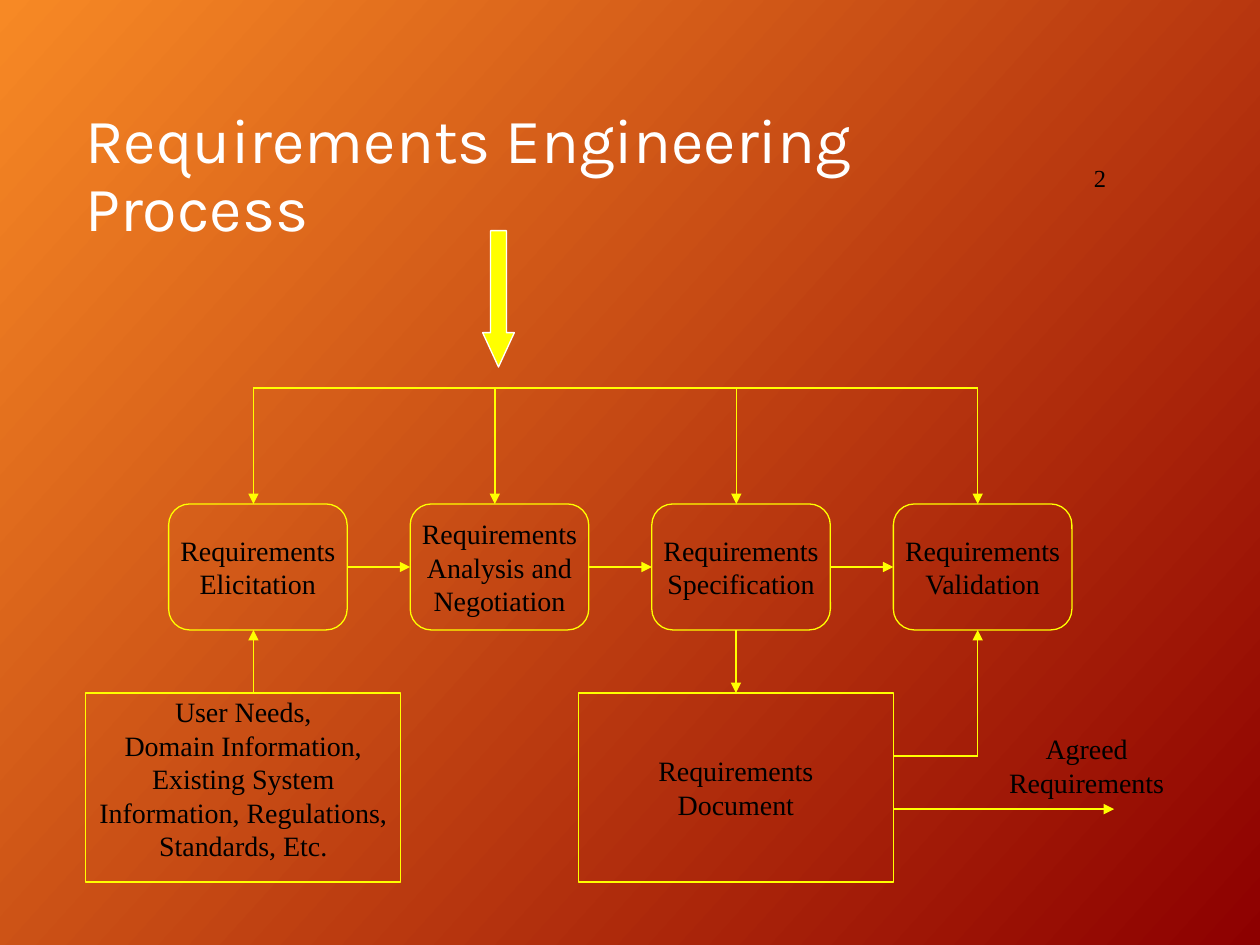
from dataclasses import dataclass

from lxml.etree import SubElement
from pptx import Presentation
from pptx.dml.color import RGBColor
from pptx.enum.shapes import MSO_CONNECTOR, MSO_SHAPE
from pptx.enum.text import MSO_ANCHOR, PP_ALIGN
from pptx.oxml.ns import qn
from pptx.util import Cm, Pt


@dataclass(frozen=True)
class Theme:
    """Colours, fonts and sizes of the slide."""
    glow: RGBColor = RGBColor.from_string("F78925")
    ember: RGBColor = RGBColor.from_string("8D0000")
    line: RGBColor = RGBColor.from_string("FFFF00")
    white: RGBColor = RGBColor.from_string("FFFFFF")
    ink: RGBColor = RGBColor.from_string("000000")
    heading_font: str = "Karla"
    body_font: str = "Times New Roman"
    heading_size: int = 36
    body_size: int = 16
    number_size: int = 14
    thin: float = 0.75
    flow: float = 1


@dataclass(frozen=True)
class Box:
    """A rectangle in centimetres."""
    left: float
    top: float
    width: float
    height: float

    @property
    def right(self):
        """Return the right edge."""
        return self.left + self.width

    @property
    def bottom(self):
        """Return the bottom edge."""
        return self.top + self.height

    def lengths(self):
        """Return left, top, width and height as slide lengths."""
        return Cm(self.left), Cm(self.top), Cm(self.width), Cm(self.height)


THEME = Theme()


def write(shape, lines, size=THEME.body_size, font=THEME.body_font, color=THEME.ink,
          align=PP_ALIGN.CENTER, anchor=MSO_ANCHOR.MIDDLE, wrap=False):
    """Fill a shape with one paragraph per line."""
    frame = shape.text_frame
    frame.text = "\n".join(lines)
    frame.word_wrap = wrap
    frame.vertical_anchor = anchor
    for para in frame.paragraphs:
        para.alignment = align
        para.font.size = Pt(size)
        para.font.name = font
        para.font.color.rgb = color
    return frame


def add_outline(page, preset, box):
    """Add an unfilled shape with a thin yellow outline."""
    shape = page.shapes.add_shape(preset, *box.lengths())
    shape.shadow.inherit = False
    shape.fill.background()
    shape.line.color.rgb = THEME.line
    shape.line.width = Pt(THEME.thin)
    return shape


def add_line(page, start, end, arrow=True, width=THEME.thin):
    """Add a straight yellow line, with an arrowhead at its end if wanted."""
    line = page.shapes.add_connector(
        MSO_CONNECTOR.STRAIGHT, *(Cm(value) for value in (*start, *end)))
    line.line.color.rgb = THEME.line
    line.line.width = Pt(width)
    properties = line._element.spPr
    if arrow:
        SubElement(properties.find(qn("a:ln")), qn("a:tailEnd"), type="triangle")
    SubElement(properties, qn("a:effectLst"))
    return line


def paint_background(page):
    """Paint the diagonal gradient."""
    fill = page.background.fill
    fill.gradient()
    fill.gradient_angle = 318
    for stop, color, position in zip(fill.gradient_stops, (THEME.glow, THEME.ember), (0, 1)):
        stop.color.rgb = color
        stop.position = position


def add_title(page, box):
    """Add the heading."""
    frame = write(page.shapes.add_textbox(*box.lengths()),
                  ["Requirements Engineering Process"], THEME.heading_size,
                  THEME.heading_font, THEME.white, PP_ALIGN.LEFT, wrap=True)
    frame.paragraphs[0].line_spacing = 0.9


def add_page_number(page, box):
    """Add the page number."""
    write(page.shapes.add_textbox(*box.lengths()), ["2"], THEME.number_size,
          align=PP_ALIGN.LEFT, wrap=True)


def add_entry_arrow(page, box):
    """Add the block arrow that leads into the process."""
    arrow = add_outline(page, MSO_SHAPE.DOWN_ARROW, box)
    arrow.adjustments[1] = 1.083
    arrow.fill.solid()
    arrow.fill.fore_color.rgb = THEME.line
    arrow.line.color.rgb = THEME.white


def add_distribution(page, box, count):
    """Add the horizontal rail and its evenly spaced drops."""
    add_line(page, (box.left, box.top), (box.right, box.top), arrow=False)
    for index in range(count):
        x = box.left + index * box.width / (count - 1)
        add_line(page, (x, box.top), (x, box.bottom))


def add_stages(page, box, labels, stage_width=3.6):
    """Add the row of stages joined by arrows."""
    pitch = (box.width - stage_width) / (len(labels) - 1)
    middle = box.top + box.height / 2
    stages = []
    for index, lines in enumerate(labels):
        place = Box(box.left + index * pitch, box.top, stage_width, box.height)
        stage = add_outline(page, MSO_SHAPE.ROUNDED_RECTANGLE, place)
        write(stage, lines)
        stages.append(stage)
    for index, (source, target) in enumerate(zip(stages, stages[1:])):
        x = box.left + index * pitch + stage_width
        arrow = add_line(page, (x, middle), (x + pitch - stage_width, middle),
                         width=THEME.flow)
        arrow.begin_connect(source, 3)
        arrow.end_connect(target, 1)


def add_inputs(page, box, gap=1.27):
    """Add the source information and its arrow up to elicitation."""
    place = Box(box.left, box.top + gap, box.width, box.height - gap)
    sources = add_outline(page, MSO_SHAPE.RECTANGLE, place)
    frame = write(sources, ["User Needs,", "Domain Information,", "Existing System",
                            "Information, Regulations,", "Standards, Etc."],
                  anchor=MSO_ANCHOR.TOP)
    frame.margin_top = Cm(0.03)
    x = box.left + 3.38
    add_line(page, (x, place.top), (x, box.top))


def add_outputs(page, box, gap=1.27):
    """Add the document, its feedback to validation and the agreed result."""
    place = Box(box.left, box.top + gap, 6.35, box.height - gap)
    document = add_outline(page, MSO_SHAPE.RECTANGLE, place)
    write(document, ["Requirements", "Document"])
    x = place.left + place.width / 2
    add_line(page, (x, box.top), (x, place.top)).end_connect(document, 0)
    corner = (place.right + 1.7, place.top + 1.27)
    add_line(page, (place.right, corner[1]), corner, arrow=False)
    add_line(page, corner, (corner[0], box.top))
    y = place.top + 2.34
    add_line(page, (place.right, y), (place.right + 4.45, y))
    label = Box(box.right - 3.63, place.top + 0.64, 3.63, 1.63)
    write(page.shapes.add_textbox(*label.lengths()), ["Agreed", "Requirements"])


def main():
    """Build and save the slide."""
    deck = Presentation()
    deck.slide_width, deck.slide_height = Cm(25.4), Cm(19.05)
    page = deck.slides.add_slide(deck.slide_layouts[6])
    labels = [["Requirements", "Elicitation"],
              ["Requirements", "Analysis and", "Negotiation"],
              ["Requirements", "Specification"],
              ["Requirements", "Validation"]]
    paint_background(page)
    add_title(page, Box(1.47, 2.08, 19.15, 3))
    add_page_number(page, Box(21.8, 2.08, 3.23, 3.02))
    add_stages(page, Box(3.4, 10.16, 18.21, 2.54), labels)
    add_distribution(page, Box(5.11, 7.82, 14.6, 2.34), len(labels))
    add_inputs(page, Box(1.73, 12.7, 6.35, 5.08))
    add_outputs(page, Box(11.66, 12.7, 12.06, 5.08))
    add_entry_arrow(page, Box(9.73, 4.65, 0.64, 2.75))
    deck.save("out.pptx")


if __name__ == "__main__":
    main()
